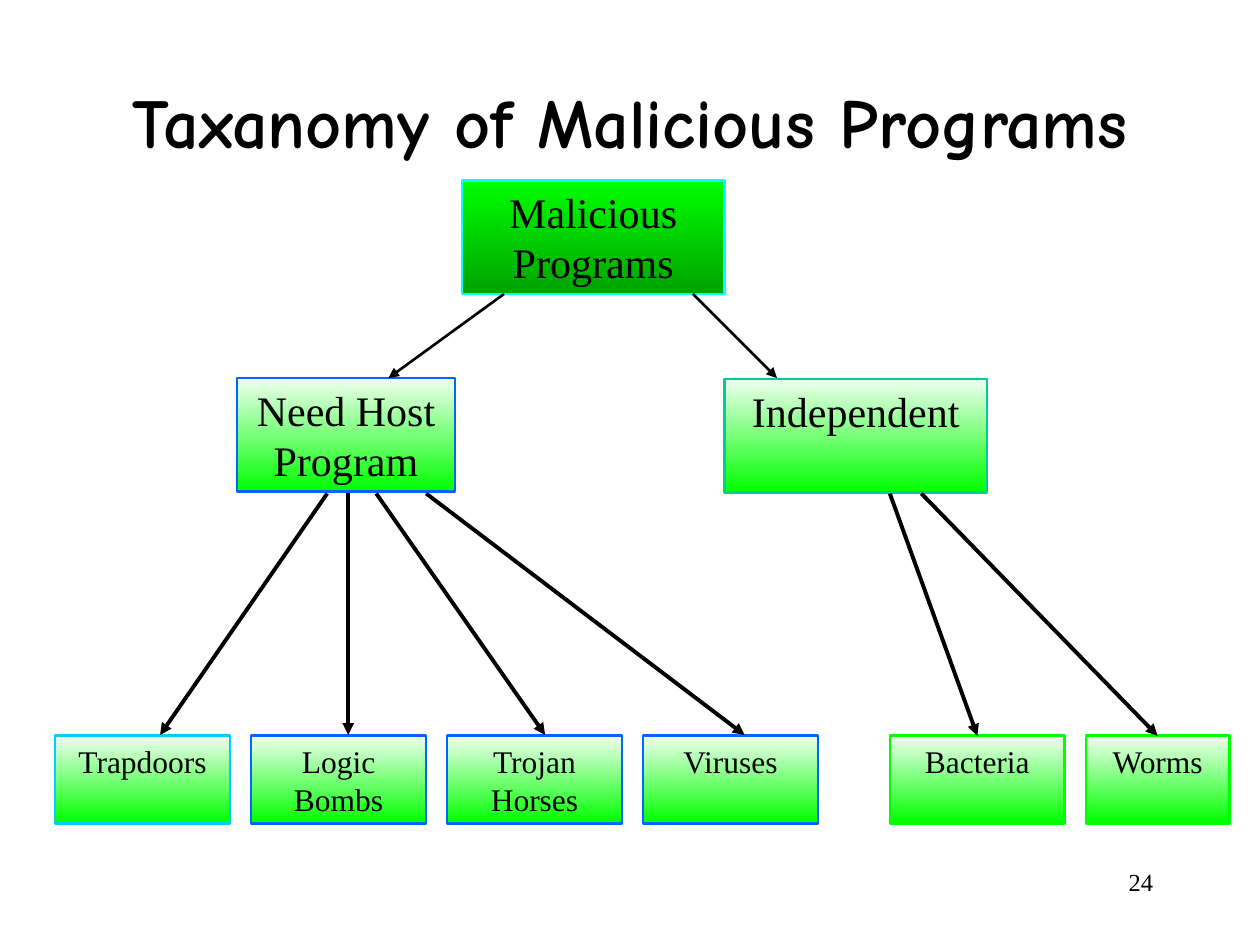
from lxml import etree
from pptx import Presentation
from pptx.dml.color import RGBColor
from pptx.enum import shapes, text
from pptx.oxml import ns
from pptx.util import Pt

# Content
TITLE = "Taxanomy of Malicious Programs"
PAGE_NUMBER = "24"
BODY_FONT, TITLE_FONT = "Times New Roman", "Comic Neue"
LIGHT, DARK = ("F0FFF0", "00FF00"), ("00FF00", "00A200")

# Upper boxes: label, left, top, width, outline, gradient
BRANCHES = [
    ("Malicious Programs", 264, 103, 150, "00FFFF", DARK),
    ("Need Host Program", 135.5, 216, 124.5, "0066FF", LIGHT),
    ("Independent", 414, 216.5, 150, "00CC99", LIGHT),
]
BRANCH_HEIGHT = 65

# Leaf groups: left edge, then label, width and outline of each box
LEAF_GROUPS = [
    (31.5, [("Trapdoors", 100, "00CCFF"), ("Logic Bombs", 100, "0066FF"),
            ("Trojan\nHorses", 100, "0066FF"), ("Viruses", 100, "0066FF")]),
    (508.5, [("Bacteria", 100, "00FF00"), ("Worms", 82, "00FF00")]),
]
LEAF_TOP, LEAF_HEIGHT, LEAF_GAP = 420.5, 50, 12

# Arrow levels: start y, end y, weight, then (start x, end x or the leaf joined at its top)
ARROW_LEVELS = [
    (168, 216, 1.5, [(288, 222), (396, 444)]),
    (282, 420, 2.25, [(187, 91.5), (199, 199), (215, 311.5), (243.5, 425.5),
                      (508.5, "Bacteria"), (526.5, "Worms")]),
]


def color(hex_string):
    return RGBColor.from_string(hex_string)


def format_text(text_frame, size, font, alignment, bold=False):
    text_frame.word_wrap = True
    for paragraph in text_frame.paragraphs:
        paragraph.alignment = alignment
        for run in paragraph.runs:
            run.font.size, run.font.name, run.font.bold = Pt(size), font, bold
            run.font.color.rgb = color("000000")


def add_box(label, left, top, width, height, outline, gradient, size):
    box = slide.shapes.add_shape(shapes.MSO_SHAPE.RECTANGLE, Pt(left), Pt(top), Pt(width), Pt(height))
    box.shadow.inherit = False
    box.fill.gradient()
    box.fill.gradient_angle = 270  # first colour at the top
    for stop, shade in zip(box.fill.gradient_stops, gradient):
        stop.color.rgb = color(shade)
    box.line.color.rgb = color(outline)
    box.line.width = Pt(1.5)
    box.text_frame.text = label
    box.text_frame.vertical_anchor = text.MSO_ANCHOR.TOP
    format_text(box.text_frame, size, BODY_FONT, text.PP_ALIGN.CENTER)
    return box


def add_arrow(start_x, start_y, end_x, end_y, weight):
    arrow = slide.shapes.add_connector(
        shapes.MSO_CONNECTOR.STRAIGHT, Pt(start_x), Pt(start_y), Pt(end_x), Pt(end_y))
    arrow.line.color.rgb = color("000000")
    arrow.line.width = Pt(weight)
    etree.SubElement(arrow.line._get_or_add_ln(), ns.qn("a:tailEnd"), type="triangle")
    etree.SubElement(arrow._element.spPr, ns.qn("a:effectLst"))
    return arrow


presentation = Presentation()
presentation.slide_width, presentation.slide_height = Pt(720), Pt(540)
slide = presentation.slides.add_slide(presentation.slide_layouts[5])

# Title
title = slide.shapes.title
title.left, title.top, title.width, title.height = Pt(18), Pt(24), Pt(684), Pt(90)
title.text_frame.text = TITLE
title.text_frame.vertical_anchor = text.MSO_ANCHOR.MIDDLE
format_text(title.text_frame, 40, TITLE_FONT, text.PP_ALIGN.CENTER, bold=True)

# Page number
number = slide.shapes.add_textbox(Pt(516), Pt(492), Pt(150), Pt(36))
number.text_frame.text = PAGE_NUMBER
format_text(number.text_frame, 14, BODY_FONT, text.PP_ALIGN.RIGHT)

# Upper boxes
for label, left, top, width, outline, gradient in BRANCHES:
    add_box(label, left, top, width, BRANCH_HEIGHT, outline, gradient, 24)

# Leaves, set side by side within each group
leaves = {}
for left, group in LEAF_GROUPS:
    for label, width, outline in group:
        leaves[label] = add_box(label, left, LEAF_TOP, width, LEAF_HEIGHT, outline, LIGHT, 18)
        left += width + LEAF_GAP

# Arrows
for start_y, end_y, weight, arrows in ARROW_LEVELS:
    for start_x, target in arrows:
        if target in leaves:
            add_arrow(start_x, start_y, start_x, end_y, weight).end_connect(leaves[target], 0)
        else:
            add_arrow(start_x, start_y, target, end_y, weight)

presentation.save("out.pptx")
